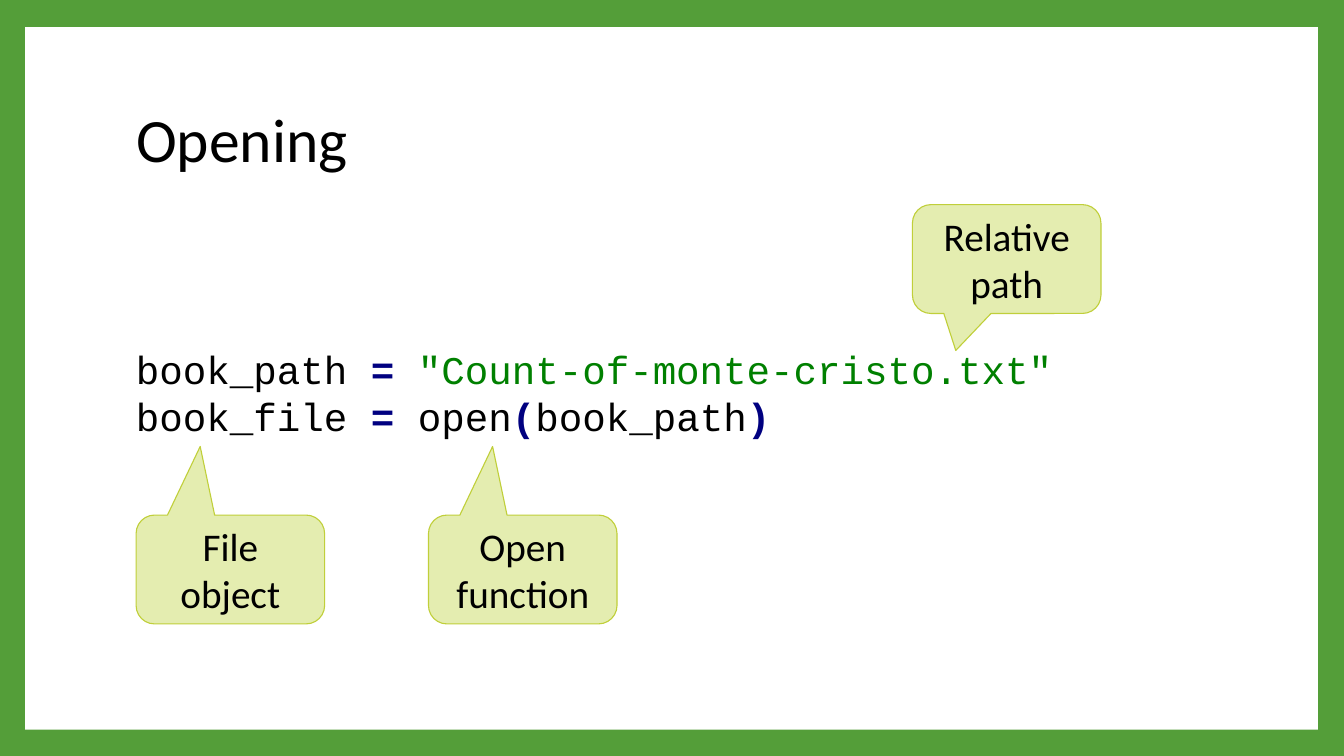
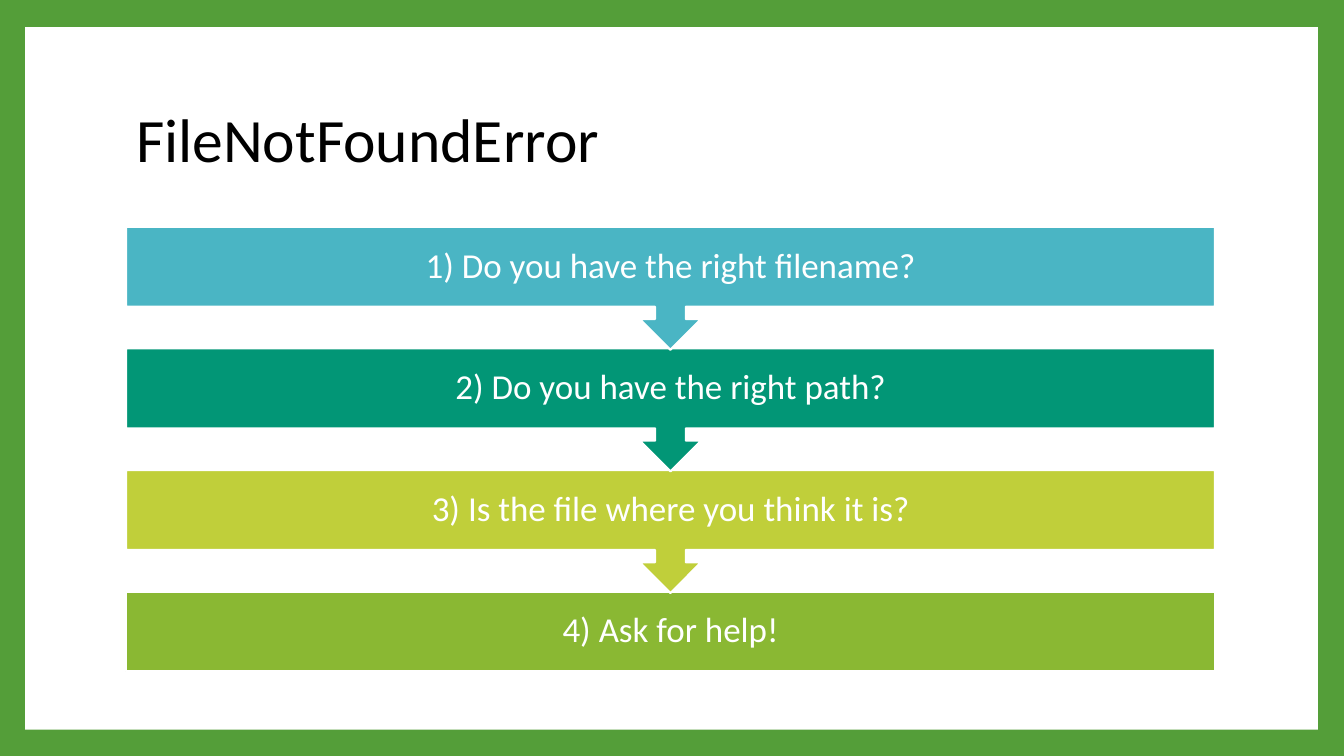
from pptx import Presentation
from pptx.dml.color import RGBColor
from pptx.enum.shapes import MSO_SHAPE
from pptx.enum.text import MSO_ANCHOR, MSO_AUTO_SIZE, PP_ALIGN
from pptx.util import Inches, Pt

RECT, ARROW = MSO_SHAPE.RECTANGLE, MSO_SHAPE.DOWN_ARROW_CALLOUT
BUBBLE = MSO_SHAPE.ROUNDED_RECTANGULAR_CALLOUT
MIDDLE, NO_FIT = MSO_ANCHOR.MIDDLE, MSO_AUTO_SIZE.NONE
LEFT, CENTER = PP_ALIGN.LEFT, PP_ALIGN.CENTER

BLACK, WHITE = RGBColor(0, 0, 0), RGBColor(255, 255, 255)
GREEN = RGBColor(0x54, 0x9E, 0x39)
NAVY, STRING = RGBColor(0, 0, 0x80), RGBColor(0, 0x80, 0)
PALE, LIME = RGBColor(0xE4, 0xED, 0xB0), RGBColor(0xC0, 0xCF, 0x3A)
TEAL, SEA = RGBColor(0x4A, 0xB5, 0xC4), RGBColor(0x02, 0x96, 0x76)
LEAF = RGBColor(0x8A, 0xB8, 0x33)

# Content
TITLES = ["Opening", "FileNotFoundError"]
NAME, SIGN, QUOTE = (BLACK, False), (NAVY, True), (STRING, False)
CODE = [
    [("book_path ", NAME), ("= ", SIGN), ('"Count-of-monte-cristo.txt"', QUOTE)],
    [("book_file ", NAME), ("=", SIGN), (" open", NAME), ("(", SIGN),
     ("book_path", NAME), (")", SIGN)],
]
UP, DOWN = (-0.16, -1.13, 0.17), (-0.27, 0.84, 0.17)
NOTES = [  # text, left, top, pointer
    ("Open function", 4.25, 5.11, UP),
    ("File object", 1.35, 5.11, UP),
    ("Relative path", 9.05, 2.03, DOWN),
]
STEPS = [
    ("1) Do you have the right filename?", TEAL),
    ("2) Do you have the right path?", SEA),
    ("3) Is the file where you think it is?", LIME),
    ("4) Ask for help!", LEAF),
]

# Grid, in inches
WIDE, HIGH = 13.33, 7.5
EDGE, BODY = 1.25, 10.8
FIRST, LAST = 2.25, 5.87
BAR, STEP = 0.79, 1.22


def style(font, **look):
    font.color.rgb = look.pop("color", BLACK)
    for key, value in look.items():
        setattr(font, key, value)


def box(slide, kind, spot, fill, line=None, width=0):
    shape = slide.shapes.add_shape(kind, *map(Inches, spot))
    shape.shadow.inherit = False
    shape.fill.solid()
    shape.fill.fore_color.rgb = fill
    if line is None:
        shape.line.fill.background()
    else:
        shape.line.color.rgb = line
        shape.line.width = Pt(width)
    return shape


def label(shape, text, align, space=None, **look):
    frame = shape.text_frame
    frame.word_wrap, frame.vertical_anchor = True, MIDDLE
    para = frame.paragraphs[0]
    para.alignment = align
    if space:
        para.line_spacing = space
    run = para.add_run()
    run.text = text
    style(run.font, name="Calibri", **look)
    return frame


# Shared frame and titles
deck = Presentation()
deck.slide_width, deck.slide_height = Inches(WIDE), Inches(HIGH)
back = deck.slide_master.background.fill
back.solid()
back.fore_color.rgb = GREEN
layout = deck.slide_layouts[5]
slides = [deck.slides.add_slide(layout) for _ in TITLES]
panel = box(slides[0], RECT, (0.25, 0.27, 12.82, 6.97), WHITE)
layout.shapes.element.insert(2, panel.element)
for slide, text in zip(slides, TITLES):
    title = slide.shapes.title
    title.left, title.top, title.width, title.height = map(
        Inches, (EDGE, 0.67, BODY, 1.48))
    label(title, text, LEFT, 0.9, size=Pt(44)).auto_size = NO_FIT
opening, error = slides

# Code with callouts
frame = opening.shapes.add_textbox(
    *map(Inches, (EDGE, 3.38, 9.67, 1.04))).text_frame
frame.word_wrap = True
for row, parts in enumerate(CODE):
    para = frame.add_paragraph() if row else frame.paragraphs[0]
    for text, (color, bold) in parts:
        run = para.add_run()
        run.text = text
        style(run.font, name="Courier New", size=Pt(28), color=color, bold=bold)
for text, left, top, point in NOTES:
    note = box(opening, BUBBLE, (left, top, 1.87, 1.08), PALE, LIME, 0.79)
    for i, value in enumerate(point):
        note.adjustments[i] = value
    label(note, text, CENTER, size=Pt(28))

# Steps, last one at the back
end = len(STEPS) - 1
pitch = (LAST - FIRST) / end
for i, (text, fill) in reversed(list(enumerate(STEPS))):
    kind, high = (RECT, BAR) if i == end else (ARROW, STEP)
    bar = box(error, kind, (EDGE, FIRST + i * pitch, BODY, high),
              fill, WHITE, 1.5)
    frame = label(bar, text, CENTER, 0.9, size=Pt(25), color=WHITE)
    for side in ("left", "top", "right", "bottom"):
        setattr(frame, "margin_" + side, Inches(0.19))

deck.save("out.pptx")
